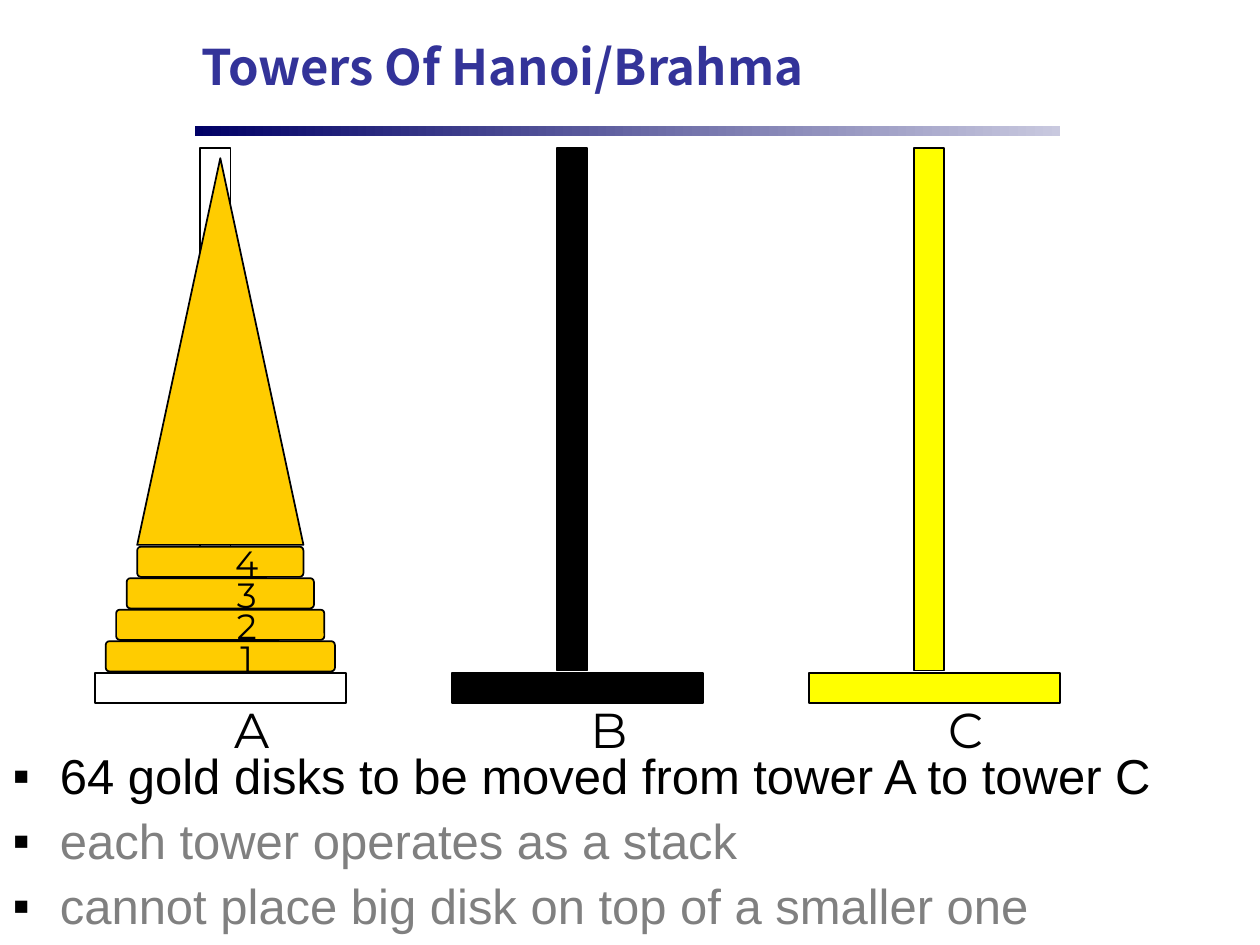
from dataclasses import dataclass

from lxml.etree import SubElement as Sub
from pptx import Presentation as Deck
from pptx.dml.color import RGBColor as Color
from pptx.enum.shapes import MSO_SHAPE as Form
from pptx.enum.text import MSO_ANCHOR as Anchor, MSO_AUTO_SIZE as Fit, PP_ALIGN as Align
from pptx.oxml.ns import qn
from pptx.util import Pt


@dataclass(frozen=True)
class Theme:
    black: str = "000000"
    white: str = "FFFFFF"
    gray: str = "808080"
    gold: str = "FFCC00"
    yellow: str = "FFFF00"
    title: str = "333399"
    dark: str = "000066"
    pale: str = "C9C9DF"
    head: str = "Noto Sans CJK SC"
    body: str = "Arial"
    label: str = "Montserrat"
    large: int = 28
    small: int = 20


class Page:
    def __init__(self, slide, theme):
        self.slide = slide
        self.theme = theme

    def place(self, item, x, y, w, h):
        item.left, item.top, item.width, item.height = Pt(x), Pt(y), Pt(w), Pt(h)

    def style(self, para, face, size, color, bold=False):
        font = para.font
        font.name, font.size, font.bold = face, Pt(size), bold
        font.color.rgb = Color.from_string(color)

    def title(self, text, *box):
        item = self.slide.shapes.title
        self.place(item, *box)
        frame = item.text_frame
        frame.text = text
        frame.auto_size, frame.vertical_anchor = Fit.NONE, Anchor.MIDDLE
        frame.margin_top = frame.margin_bottom = 0
        para = frame.paragraphs[0]
        para.alignment, para.line_spacing = Align.LEFT, 0.85
        self.style(para, self.theme.head, self.theme.large, self.theme.title, True)

    def list(self, rows, *box):
        item = self.slide.placeholders[1]
        self.place(item, *box)
        frame = item.text_frame
        frame.text = "\n".join(text for text, _ in rows)
        frame.auto_size, frame.vertical_anchor = Fit.NONE, Anchor.TOP
        for i, (para, (_, color)) in enumerate(zip(frame.paragraphs, rows)):
            para.line_spacing = 0.9
            para.space_before = Pt(7 if i else 0)
            self.bullet(para)
            self.style(para, self.theme.body, self.theme.large, color)

    def bullet(self, para, indent=27):
        props = para._p.get_or_add_pPr()
        props.set("marL", str(Pt(indent)))
        props.set("indent", str(Pt(-indent)))
        tint = Sub(props, qn("a:buClr"))
        Sub(tint, qn("a:srgbClr"), val=self.theme.black)
        Sub(props, qn("a:buChar"), char="▪")

    def shape(self, home, form, fill, *box):
        item = home.add_shape(form, *map(Pt, box))
        item.shadow.inherit = False
        item.fill.solid()
        item.fill.fore_color.rgb = Color.from_string(fill)
        item.line.color.rgb = Color.from_string(self.theme.black)
        item.line.width = Pt(1)
        return item

    def label(self, home, text, size, *box):
        frame = home.add_textbox(*map(Pt, box)).text_frame
        frame.word_wrap, frame.auto_size = True, Fit.SHAPE_TO_FIT_TEXT
        para = frame.paragraphs[0]
        para.text, para.alignment = text, Align.CENTER
        self.style(para, self.theme.label, size, self.theme.black)

    def bar(self, *box):
        item = self.shape(self.slide.shapes, Form.RECTANGLE, self.theme.dark, *box)
        item.line.fill.background()
        item.fill.gradient()
        item.fill.gradient_angle = 0
        ends = self.theme.dark, self.theme.pale
        for stop, color, spot in zip(item.fill.gradient_stops, ends, (0, 1)):
            stop.color.rgb, stop.position = Color.from_string(color), spot

    def tower(self, name, fill, x):
        home = self.slide.shapes.add_group_shape().shapes
        self.shape(home, Form.RECTANGLE, fill, x, 384.4, 143.4, 17.3)
        self.shape(home, Form.RECTANGLE, fill, x + 60, 84.4, 17.3, 298.8)
        self.label(home, name, self.theme.large, x + 53.5, 396, 72, 41.3)

    def disk(self, name, x, y, w):
        home = self.slide.shapes.add_group_shape().shapes
        item = self.shape(home, Form.ROUNDED_RECTANGLE, self.theme.gold, x, y, w, 17.3)
        item.adjustments[0] = 0.125
        self.label(home, name, self.theme.small, 114, y - 6.4, 54, 31.6)


def main():
    deck = Deck()
    deck.slide_width, deck.slide_height = Pt(720), Pt(540)
    theme = Theme()
    page = Page(deck.slides.add_slide(deck.slide_layouts[1]), theme)

    # Heading
    page.bar(111.4, 72, 494.6, 5.8)
    page.title("Towers Of Hanoi/Brahma", 108, 3.6, 504, 73.4)

    # Towers, evenly spaced
    for i, (name, fill) in enumerate(zip("ABC", (theme.white, theme.black, theme.yellow))):
        page.tower(name, fill, 54.4 + 204 * i)

    # Disks, each one narrower than the one below
    for i in range(4):
        page.disk(str(i + 1), 60.4 + 6 * i, 366.4 - 18 * i, 131 - 12 * i)

    # The rest of the stack
    page.shape(page.slide.shapes, Form.ISOSCELES_TRIANGLE, theme.gold, 78.4, 90.4, 95, 221)

    # Rules
    page.list([
        ("64 gold disks to be moved from tower A to tower C", theme.black),
        ("each tower operates as a stack", theme.gray),
        ("cannot place big disk on top of a smaller one", theme.gray),
    ], 0, 426, 714, 114)

    deck.save("out.pptx")


if __name__ == "__main__":
    main()
